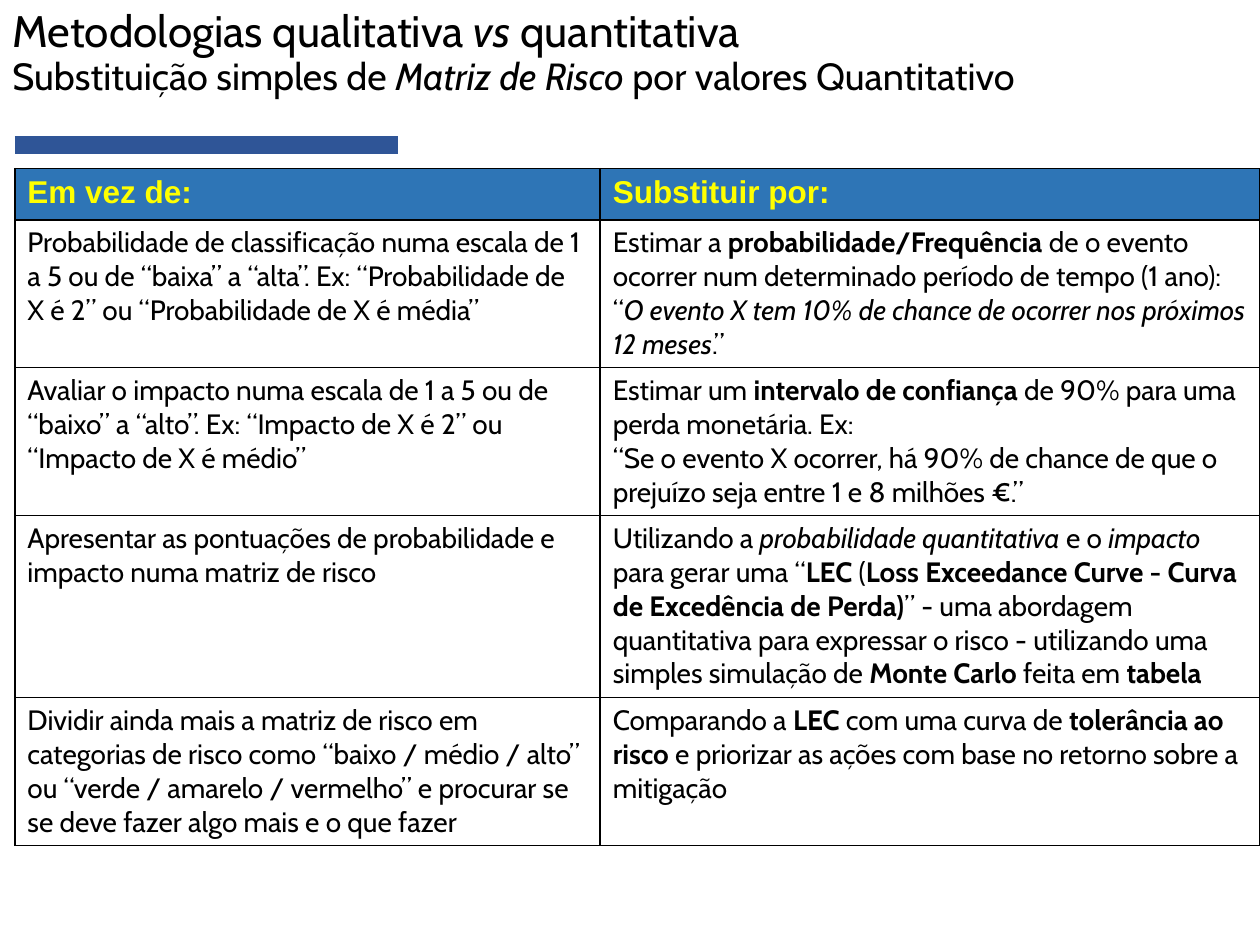
from typing import NamedTuple

from lxml.etree import SubElement
from pptx import Presentation
from pptx.dml.color import RGBColor
from pptx.enum.shapes import MSO_CONNECTOR
from pptx.enum.text import MSO_ANCHOR
from pptx.oxml import parse_xml
from pptx.oxml.ns import nsdecls, qn
from pptx.slide import Slide
from pptx.table import _Cell
from pptx.text.text import _Paragraph
from pptx.util import Cm, Pt

BLACK = RGBColor(0x00, 0x00, 0x00)
YELLOW = RGBColor(0xFF, 0xFF, 0x00)
HEADER_BLUE = RGBColor(0x2E, 0x75, 0xB6)
ACCENT_BLUE = RGBColor(0x2F, 0x55, 0x97)

BODY_FONT = "Cabin"
HEADER_FONT = "Arial"
TABLE_LEFT, TABLE_TOP = Cm(0.3), Cm(3.4)
COLUMN_WIDTHS = (Cm(11.8), Cm(13.3))
ROW_HEIGHTS = (Cm(1.03), Cm(2.98), Cm(2.98), Cm(3.67), Cm(2.98))


class Span(NamedTuple):
    text: str
    bold: bool = False
    italic: bool = False


class Replacement(NamedTuple):
    instead_of: str
    replace_by: list[list[Span]]


def bold(text: str) -> Span:
    return Span(text, bold=True)


def italic(text: str) -> Span:
    return Span(text, italic=True)


TITLE = [Span("Metodologias qualitativa "), italic("vs"), Span(" quantitativa")]
SUBTITLE = [
    Span("Substituição simples de "),
    italic("Matriz de Risco"),
    Span(" por valores Quantitativo"),
]
HEADERS = ("Em vez de:", "Substituir por:")
REPLACEMENTS = [
    Replacement(
        "Probabilidade de classificação numa escala de 1 a 5 ou de “baixa” a “alta”. "
        "Ex: “Probabilidade de X é 2” ou “Probabilidade de X é média”",
        [[
            Span("Estimar a "),
            bold("probabilidade/Frequência"),
            Span(" de o evento ocorrer num determinado período de tempo (1 ano): “"),
            italic("O evento X tem 10% de chance de ocorrer nos próximos 12 meses"),
            Span(".”"),
        ]],
    ),
    Replacement(
        "Avaliar o impacto numa escala de 1 a 5 ou de “baixo” a “alto”. "
        "Ex: “Impacto de X é 2” ou “Impacto de X é médio”",
        [
            [
                Span("Estimar um "),
                bold("intervalo de confiança "),
                Span("de 90% para uma perda monetária. Ex:"),
            ],
            [Span("“Se o evento X ocorrer, há 90% de chance de que o prejuízo "
                  "seja entre 1 e 8 milhões €.”")],
        ],
    ),
    Replacement(
        "Apresentar as pontuações de probabilidade e impacto numa matriz de risco",
        [[
            Span("Utilizando a "),
            italic("probabilidade quantitativa "),
            Span("e o "),
            italic("impacto"),
            Span(" para gerar uma “"),
            bold("LEC"),
            Span(" ("),
            bold("Loss Exceedance Curve - Curva de Excedência de Perda)"),
            Span("” - uma abordagem quantitativa para expressar o risco - "
                 "utilizando uma simples simulação de "),
            bold("Monte Carlo "),
            Span("feita em "),
            bold("tabela"),
        ]],
    ),
    Replacement(
        "Dividir ainda mais a matriz de risco em categorias de risco como "
        "“baixo / médio / alto” ou “verde / amarelo / vermelho” e procurar se "
        "se deve fazer algo mais e o que fazer",
        [[
            Span("Comparando a "),
            bold("LEC "),
            Span("com uma curva de "),
            bold("tolerância ao risco"),
            Span(" e priorizar as ações com base no retorno sobre a mitigação"),
        ]],
    ),
]


def add_spans(paragraph: _Paragraph, spans: list[Span], size: float,
              font_name: str = BODY_FONT, color: RGBColor = BLACK) -> None:
    for span in spans:
        run = paragraph.add_run()
        run.text = span.text
        run.font.name = font_name
        run.font.size = Pt(size)
        run.font.bold = span.bold
        run.font.italic = span.italic
        run.font.color.rgb = color


def add_title(slide: Slide) -> None:
    text_frame = slide.shapes.add_textbox(Cm(0), Cm(0.05), Cm(25.4), Cm(2.08)).text_frame
    text_frame.word_wrap = True
    text_frame.vertical_anchor = MSO_ANCHOR.MIDDLE
    paragraph = text_frame.paragraphs[0]
    paragraph.line_spacing = 0.9
    add_spans(paragraph, TITLE, 25.2)
    paragraph.add_line_break()
    add_spans(paragraph, SUBTITLE, 21.6)


def add_accent_line(slide: Slide) -> None:
    line = slide.shapes.add_connector(
        MSO_CONNECTOR.STRAIGHT, Cm(0.3), Cm(2.92), Cm(8.02), Cm(2.92))
    line.line.color.rgb = ACCENT_BLUE
    line.line.width = Pt(10)
    SubElement(line._element.spPr, qn("a:effectLst"))


def set_borders(cell: _Cell) -> None:
    """Give the cell a thin black line on all four sides."""
    properties = cell._tc.get_or_add_tcPr()
    for position, side in enumerate(("lnL", "lnR", "lnT", "lnB")):
        properties.insert(position, parse_xml(
            f'<a:{side} {nsdecls("a")} w="{Pt(1)}"><a:solidFill>'
            f'<a:srgbClr val="{BLACK}"/></a:solidFill></a:{side}>'))


def fill_header(cell: _Cell, text: str) -> None:
    cell.fill.solid()
    cell.fill.fore_color.rgb = HEADER_BLUE
    add_spans(cell.text_frame.paragraphs[0], [bold(text)], 18, HEADER_FONT, YELLOW)
    set_borders(cell)


def fill_body(cell: _Cell, paragraphs: list[list[Span]]) -> None:
    cell.fill.background()
    text_frame = cell.text_frame
    for index, spans in enumerate(paragraphs):
        paragraph = text_frame.add_paragraph() if index else text_frame.paragraphs[0]
        add_spans(paragraph, spans, 16)
    set_borders(cell)


def add_replacement_table(slide: Slide) -> None:
    table = slide.shapes.add_table(
        len(ROW_HEIGHTS), len(COLUMN_WIDTHS), TABLE_LEFT, TABLE_TOP,
        sum(COLUMN_WIDTHS), sum(ROW_HEIGHTS)).table
    table.horz_banding = False
    for column, width in zip(table.columns, COLUMN_WIDTHS):
        column.width = width
    for row, height in zip(table.rows, ROW_HEIGHTS):
        row.height = height
    for column_index, header in enumerate(HEADERS):
        fill_header(table.cell(0, column_index), header)
    for row_index, replacement in enumerate(REPLACEMENTS, start=1):
        fill_body(table.cell(row_index, 0), [[Span(replacement.instead_of)]])
        fill_body(table.cell(row_index, 1), replacement.replace_by)


def main() -> None:
    presentation = Presentation()
    presentation.slide_width = Cm(25.4)
    presentation.slide_height = Cm(19.05)
    slide = presentation.slides.add_slide(presentation.slide_layouts[6])
    add_accent_line(slide)
    add_title(slide)
    add_replacement_table(slide)
    presentation.save("out.pptx")


if __name__ == "__main__":
    main()
